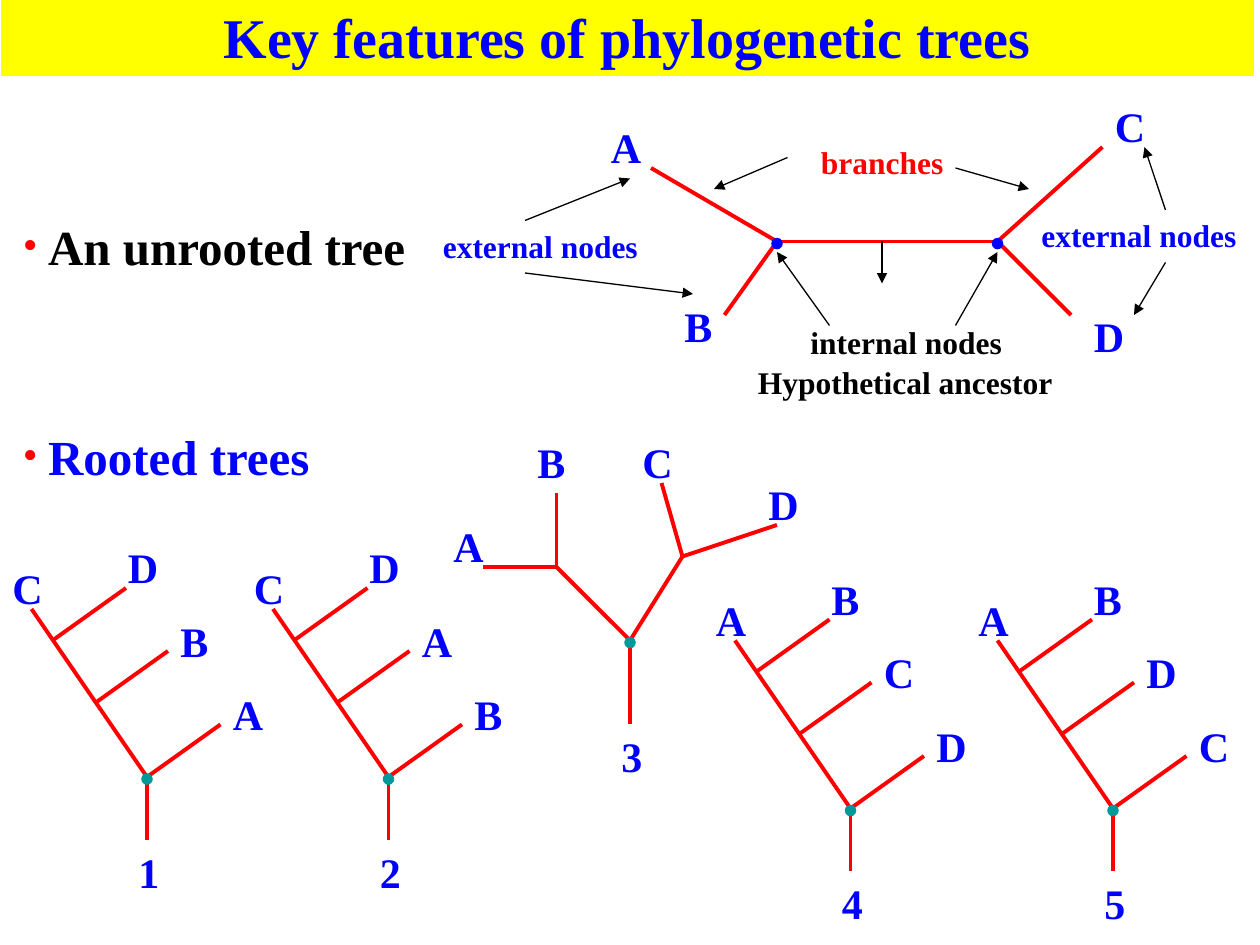
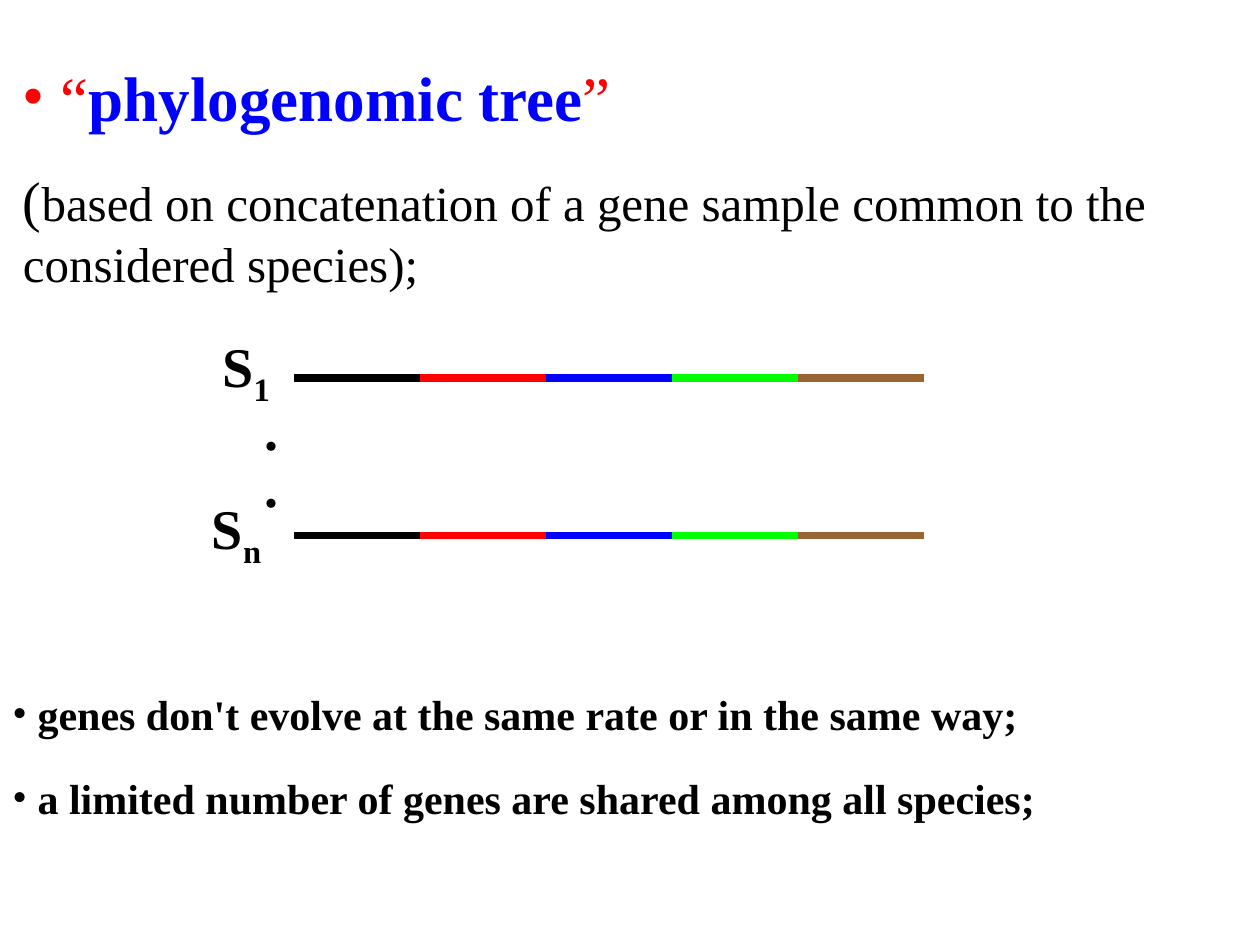
from dataclasses import dataclass

from lxml.etree import SubElement
from pptx import Presentation
from pptx.dml.color import RGBColor
from pptx.enum.shapes import MSO_CONNECTOR, MSO_SHAPE
from pptx.enum.text import MSO_ANCHOR, MSO_AUTO_SIZE, PP_ALIGN
from pptx.oxml.ns import qn
from pptx.util import Cm, Pt

# Shared style
FONT = "Times New Roman"
BLACK, WHITE, YELLOW = "000000", "FFFFFF", "FFFF00"
RED, BLUE, GREEN, BROWN, TEAL = "FF0000", "0000FF", "00FF00", "996633", "009999"
TITLE_ONLY, BLANK = 5, 6
UNITS_PER_INCH = 12

Point = tuple[float, float]
Segment = tuple[Point, Point]


@dataclass(frozen=True)
class Label:
    """A short text; left, top and width are in grid units."""
    text: str
    left: float
    top: float
    width: float = 6
    color: str = BLUE
    size: float = 24


@dataclass(frozen=True)
class Tree:
    branches: list[Segment]
    labels: list[Label]
    nodes: list[Point]
    node_color: str = TEAL


def grid(units: float) -> Cm:
    """Length on the drawing grid of twelve units to the inch."""
    return Cm(units * 2.54 / UNITS_PER_INCH)


def rgb(color: str) -> RGBColor:
    return RGBColor.from_string(color)


# Text
def write(paragraph, text: str, *, size: float = 24, color: str = BLACK,
          bold: bool = True, subscript: bool = False) -> None:
    run = paragraph.add_run()
    run.text = text
    run.font.name = FONT
    run.font.size = Pt(size)
    run.font.bold = bold
    run.font.color.rgb = rgb(color)
    if subscript:
        run._r.get_or_add_rPr().set("baseline", "-25000")


def add_box(slide, left: float, top: float, width: float, height: float = 6):
    """Add a wrapping text box and return its text frame."""
    box = slide.shapes.add_textbox(grid(left), grid(top), grid(width), grid(height))
    box.text_frame.word_wrap = True
    return box.text_frame


def add_label(slide, label: Label) -> None:
    frame = add_box(slide, label.left, label.top, label.width)
    write(frame.paragraphs[0], label.text, size=label.size, color=label.color)


def add_bullet(paragraph, indent: float, color: str, percent: int = 100) -> None:
    properties = paragraph._p.get_or_add_pPr()
    properties.set("marL", str(grid(indent)))
    properties.set("indent", str(-grid(indent)))
    bullet_color = SubElement(properties, qn("a:buClr"))
    SubElement(bullet_color, qn("a:srgbClr"), val=color)
    SubElement(properties, qn("a:buSzPct"), val=str(percent * 1000))
    SubElement(properties, qn("a:buFont"), typeface=FONT)
    SubElement(properties, qn("a:buChar"), char="•")


def add_title(slide, text: str) -> None:
    title = slide.shapes.title
    title.left, title.top = grid(0), grid(-0.4)
    title.width, title.height = grid(119.5), grid(7.7)
    title.fill.solid()
    title.fill.fore_color.rgb = rgb(YELLOW)
    title.line.color.rgb = rgb(WHITE)
    title.line.width = Pt(0.75)
    frame = title.text_frame
    frame.auto_size = MSO_AUTO_SIZE.NONE
    frame.vertical_anchor = MSO_ANCHOR.TOP
    frame.paragraphs[0].alignment = PP_ALIGN.CENTER
    write(frame.paragraphs[0], text, size=32, color=BLUE)


# Lines and nodes
def add_line(slide, start: Point, end: Point, color: str = RED,
             width: float = 2.25, arrow: bool = False) -> None:
    connector = slide.shapes.add_connector(
        MSO_CONNECTOR.STRAIGHT, *map(grid, (*start, *end)))
    connector.line.color.rgb = rgb(color)
    connector.line.width = Pt(width)
    properties = connector._element.spPr
    if arrow:
        SubElement(properties.find(qn("a:ln")), qn("a:tailEnd"), type="triangle")
    SubElement(properties, qn("a:effectLst"))


def add_node(slide, center: Point, color: str) -> None:
    diameter = 1.1
    left, top = (value - diameter / 2 for value in center)
    node = slide.shapes.add_shape(
        MSO_SHAPE.OVAL, grid(left), grid(top + 0.2), grid(diameter), grid(diameter))
    node.shadow.inherit = False
    node.fill.solid()
    node.fill.fore_color.rgb = rgb(color)
    node.line.fill.background()


def draw_tree(slide, tree: Tree) -> None:
    for start, end in tree.branches:
        add_line(slide, start, end)
    for label in tree.labels:
        add_label(slide, label)
    for node in tree.nodes:
        add_node(slide, node, tree.node_color)


def comb_tree(left: float, top: float, leaves: str, number: str) -> Tree:
    """A slanted rooted tree whose first leaf tip is at left, top."""
    segments = [((0, 0), (11, 16)), ((11, 16), (11, 22)), ((2, 3), (9, -2)),
                ((6, 9), (13, 4)), ((11, 16), (18, 11))]
    places = [(-3, -5), (8, -7), (13, 0), (18, 7), (9, 22)]

    def shift(point: Point) -> Point:
        return left + point[0], top + point[1]

    return Tree(
        branches=[(shift(start), shift(end)) for start, end in segments],
        labels=[Label(text, *shift(place)) for text, place in zip(leaves + number, places)],
        nodes=[shift((11, 16))])


# Slide 1 content
LEFT_NODE, RIGHT_NODE = (74, 23), (95, 23)
UNROOTED_TREE = Tree(
    branches=[(LEFT_NODE, RIGHT_NODE), (LEFT_NODE, (62, 16)), (LEFT_NODE, (69, 30)),
              (RIGHT_NODE, (105, 14)), (RIGHT_NODE, (102, 30))],
    labels=[Label("A", 57, 11), Label("B", 64, 28), Label("C", 105, 9), Label("D", 103, 29)],
    nodes=[LEFT_NODE, RIGHT_NODE],
    node_color=BLUE)

CAPTIONS = [
    Label("internal nodes", 76, 30.2, 22, BLACK, 18),
    Label("Hypothetical ancestor", 71, 34, 31, BLACK, 18),
    Label("branches", 77, 13, 15, RED, 18),
    Label("external nodes", 98, 20, 22, BLUE, 18),
    Label("external nodes", 41, 21, 23, BLUE, 18),
]

CAPTION_ARROWS = [
    ((84, 23), (84, 27)), ((79, 31), (74, 24)), ((91, 31), (95, 24)),
    ((75, 15), (68, 18)), ((91, 16), (98, 18)), ((111, 20), (109, 14)),
    ((111, 25), (108, 30)), ((50, 21), (60, 17)), ((50, 26), (66, 28)),
]

ROOT, LEFT_FORK, RIGHT_FORK = (60, 61), (53, 54), (65, 53)
FORKED_TREE = Tree(
    branches=[(ROOT, (60, 69)), (ROOT, LEFT_FORK), (ROOT, RIGHT_FORK),
              (LEFT_FORK, (46, 54)), (LEFT_FORK, (53, 47)),
              (RIGHT_FORK, (63, 46)), (RIGHT_FORK, (74, 50))],
    labels=[Label("A", 42, 49), Label("B", 50, 41), Label("C", 60, 41),
            Label("D", 72, 45), Label("3", 58, 69)],
    nodes=[ROOT])

ROOTED_TREES = [
    comb_tree(3, 58, "CDBA", "1"),
    comb_tree(26, 58, "CDAB", "2"),
    FORKED_TREE,
    comb_tree(70, 61, "ABCD", "4"),
    comb_tree(95, 61, "ABDC", "5"),
]


def build_features_slide(presentation) -> None:
    slide = presentation.slides.add_slide(presentation.slide_layouts[TITLE_ONLY])
    add_title(slide, "Key features of phylogenetic trees")
    for text, top, color in (("An unrooted tree", 20, BLACK), ("Rooted trees", 40, BLUE)):
        paragraph = add_box(slide, 1, top, 42, 6.8).paragraphs[0]
        add_bullet(paragraph, 2.4, RED, 86)
        write(paragraph, text, size=28, color=color)
    for tree in (*ROOTED_TREES, UNROOTED_TREE):
        draw_tree(slide, tree)
    for caption in CAPTIONS:
        add_label(slide, caption)
    for start, end in CAPTION_ARROWS:
        add_line(slide, start, end, BLACK, 0.75, arrow=True)


# Slide 2 content
GENE_COLORS = [BLACK, RED, BLUE, GREEN, BROWN]
GENE_LEFT, GENE_LENGTH = 28, 12
NOTES = ["genes don't evolve at the same rate or in the same way;",
         "a limited number of genes are shared among all species;"]


def build_phylogenomic_slide(presentation) -> None:
    slide = presentation.slides.add_slide(presentation.slide_layouts[BLANK])

    # Definition
    frame = add_box(slide, 1, 5, 118, 23.6)
    heading, definition = frame.paragraphs[0], frame.add_paragraph()
    add_bullet(heading, 3.6, RED)
    write(heading, "“", size=36, color=RED, bold=False)
    write(heading, "phylogenomic tree", size=36, color=BLUE)
    write(heading, "”", size=36, color=RED, bold=False)
    definition.space_before = Pt(18)
    write(definition, "(", size=32, bold=False)
    write(definition, "based on concatenation of a gene sample common to the "
          "considered species);", size=28, bold=False)

    # Species with their concatenated genes
    for index, left, top, line_top in (("1", 20, 31, 36), ("n", 19, 46.4, 51)):
        species = add_box(slide, left, top, 10, 7.6).paragraphs[0]
        write(species, "S", size=32)
        write(species, index, size=32, subscript=True)
        for position, color in enumerate(GENE_COLORS):
            start = GENE_LEFT + position * GENE_LENGTH
            add_line(slide, (start, line_top), (start + GENE_LENGTH, line_top), color, 4.5)
    for top in (37, 42.4):
        add_label(slide, Label(".", 24, top, 5, BLACK, 32))

    # Limits of the method
    for row, note in enumerate(NOTES):
        paragraph = add_box(slide, 0, 65 + 8 * row, 120).paragraphs[0]
        add_bullet(paragraph, 2.4, BLACK)
        write(paragraph, note)


def main() -> None:
    presentation = Presentation()
    presentation.slide_width, presentation.slide_height = Cm(25.4), Cm(19.05)
    build_features_slide(presentation)
    build_phylogenomic_slide(presentation)
    presentation.save("out.pptx")


if __name__ == "__main__":
    main()
